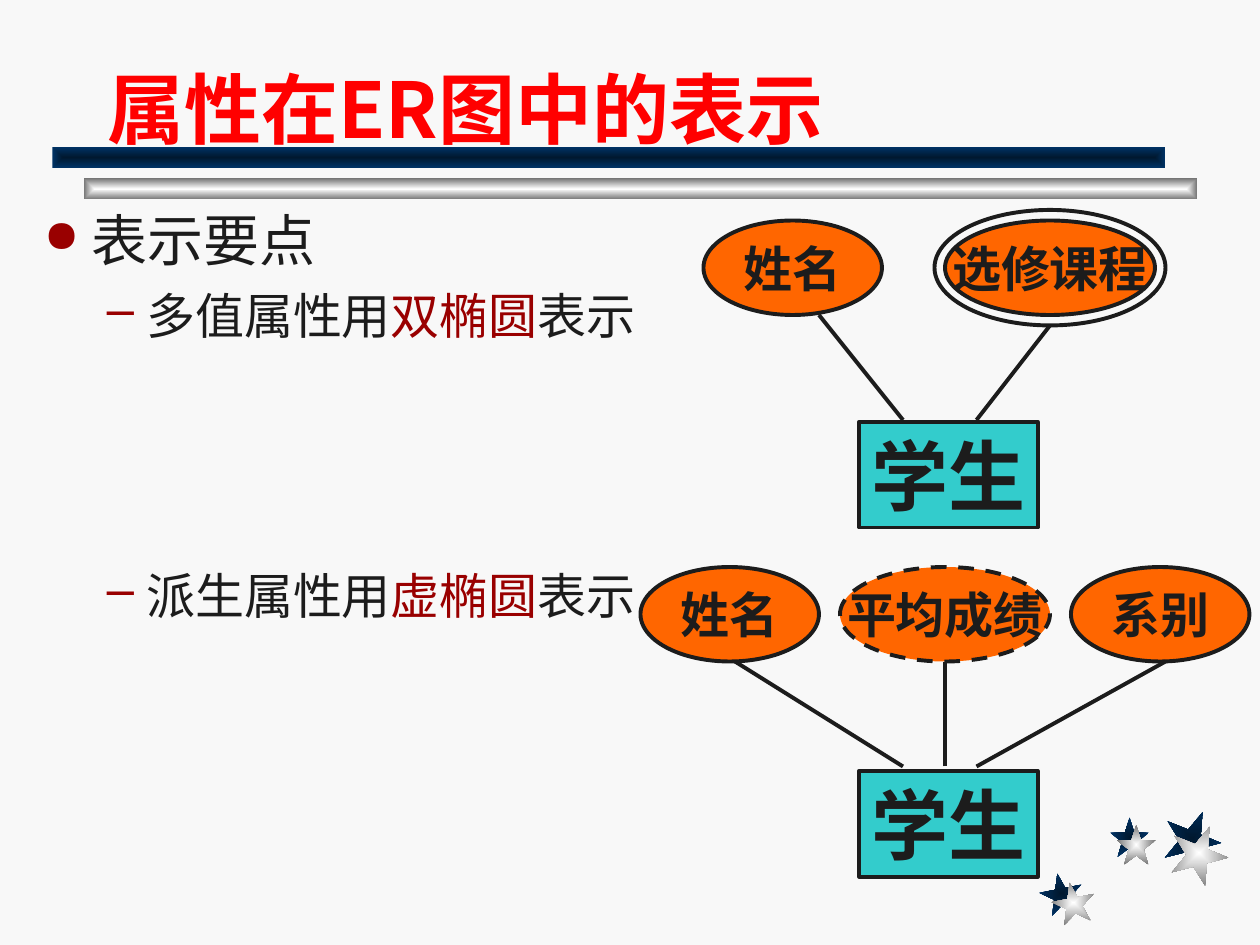
from lxml import etree
from pptx import Presentation
from pptx.dml.color import RGBColor
from pptx.enum.dml import MSO_LINE
from pptx.enum.shapes import MSO_CONNECTOR, MSO_SHAPE
from pptx.enum.text import MSO_ANCHOR, PP_ALIGN
from pptx.oxml.ns import qn
from pptx.util import Pt

RECTANGLE, OVAL, STAR = MSO_SHAPE.RECTANGLE, MSO_SHAPE.OVAL, MSO_SHAPE.STAR_5_POINT
STRAIGHT = MSO_CONNECTOR.STRAIGHT
DASH = MSO_LINE.DASH
LEFT, CENTER, JUSTIFY = PP_ALIGN.LEFT, PP_ALIGN.CENTER, PP_ALIGN.JUSTIFY
MIDDLE, BOTTOM = MSO_ANCHOR.MIDDLE, MSO_ANCHOR.BOTTOM

PAPER = RGBColor(0xF8, 0xF8, 0xF8)
INK = RGBColor(0x1C, 0x1C, 0x1C)
RED = RGBColor(0xFF, 0x00, 0x00)
MAROON = RGBColor(0x99, 0x00, 0x00)
ORANGE = RGBColor(0xFF, 0x66, 0x00)
TEAL = RGBColor(0x33, 0xCC, 0xCC)
NAVY_GLOW = (RGBColor(0x00, 0x18, 0x2F), RGBColor(0x00, 0x33, 0x66))
SILVER_GLOW = (RGBColor(0xFF, 0xFF, 0xFF), RGBColor(0x76, 0x76, 0x76))

TITLE_FONT, BODY_FONT, DIAGRAM_FONT = "Noto Sans CJK SC", "Roboto", "Times New Roman"
LINE_WIDTH = 2.25
OVAL_HEIGHT = 54


class SlideBuilder:
    def __init__(self, slide):
        self.slide = slide
        fill = slide.background.fill
        fill.solid()
        fill.fore_color.rgb = PAPER

    def set_font(self, paragraph, name, size, color, bold=False):
        font = paragraph.font
        font.name, font.size, font.bold = name, Pt(size), bold
        font.color.rgb = color

    def shape(self, kind, left, top, width, height):
        shape = self.slide.shapes.add_shape(kind, Pt(left), Pt(top), Pt(width), Pt(height))
        shape.shadow.inherit = False
        return shape

    def glowing(self, kind, left, top, width, height, glow, rotation=0):
        """Add a borderless shape whose gradient runs from its centre to its edges."""
        shape = self.shape(kind, left, top, width, height)
        shape.rotation = rotation
        shape.line.fill.background()
        shape.fill.gradient()
        for stop, color, position in zip(shape.fill.gradient_stops, glow, (0, 1)):
            stop.color.rgb = color
            stop.position = position
        gradient = shape.element.spPr.find(qn("a:gradFill"))
        gradient.remove(gradient.find(qn("a:lin")))
        centre = etree.SubElement(gradient, qn("a:path"), path="rect")
        etree.SubElement(centre, qn("a:fillToRect"), l="50000", t="50000", r="50000", b="50000")

    def title(self, text, left, top, width, height):
        title = self.slide.shapes.title
        title.left, title.top, title.width, title.height = Pt(left), Pt(top), Pt(width), Pt(height)
        frame = title.text_frame
        frame.text = text
        frame.vertical_anchor = BOTTOM
        frame.paragraphs[0].alignment = LEFT
        self.set_font(frame.paragraphs[0], TITLE_FONT, 44, RED, bold=True)

    def bullets(self, items, left, top, width, height):
        """Each item: runs of (text, color), level, space before."""
        box = self.slide.shapes.add_textbox(Pt(left), Pt(top), Pt(width), Pt(height))
        frame = box.text_frame
        frame.word_wrap = True
        level_styles = (("●", 32, 27, -27, 80), ("–", 28, 58.5, -22.5, 100))
        for index, (runs, level, space_before) in enumerate(items):
            mark, size, margin, indent, mark_percent = level_styles[level]
            paragraph = frame.add_paragraph() if index else frame.paragraphs[0]
            paragraph.level = level
            paragraph.alignment = JUSTIFY
            paragraph.space_before = Pt(space_before)
            self.set_font(paragraph, BODY_FONT, size, INK)
            for text, color in runs:
                run = paragraph.add_run()
                run.text = text
                run.font.color.rgb = color
            properties = paragraph._p.get_or_add_pPr()
            properties.set("marL", str(Pt(margin)))
            properties.set("indent", str(Pt(indent)))
            mark_color = etree.Element(qn("a:buClr"))
            etree.SubElement(mark_color, qn("a:srgbClr"), val=str(MAROON))
            mark_size = etree.Element(qn("a:buSzPct"), val=str(mark_percent * 1000))
            mark_char = etree.Element(qn("a:buChar"), char=mark)
            # Bullet settings come after spacing and before default run properties.
            defaults = properties.find(qn("a:defRPr"))
            for element in (mark_color, mark_size, mark_char):
                defaults.addprevious(element)

    def node(self, kind, left, top, width, height, text="", size=28, color=None, dash=None):
        node = self.shape(kind, left, top, width, height)
        if color is None:
            node.fill.background()
        else:
            node.fill.solid()
            node.fill.fore_color.rgb = color
        node.line.color.rgb = INK
        node.line.width = Pt(LINE_WIDTH)
        if dash is not None:
            node.line.dash_style = dash
        if text:
            frame = node.text_frame
            frame.word_wrap = False
            frame.vertical_anchor = MIDDLE
            frame.text = text
            frame.paragraphs[0].alignment = CENTER
            self.set_font(frame.paragraphs[0], DIAGRAM_FONT, size, INK, bold=True)

    def entity(self, text, top):
        self.node(RECTANGLE, 491, top, 102, 60.5, text, 44, TEAL)

    def attribute(self, text, left, top, width=102, dash=None):
        self.node(OVAL, left, top, width, OVAL_HEIGHT, text, 28, ORANGE, dash)

    def link(self, x1, y1, x2, y2):
        link = self.slide.shapes.add_connector(STRAIGHT, Pt(x1), Pt(y1), Pt(x2), Pt(y2))
        link.line.color.rgb = INK
        link.line.width = Pt(LINE_WIDTH)
        etree.SubElement(link.element.spPr, qn("a:effectLst"))


def add_decoration(builder):
    # Centre, size, rotation, and the shift from the navy star to the silver one.
    stars = (
        (606.4, 510.6, 24.4, 23.2, 349, 7, 5.3),
        (645.5, 478.5, 22.4, 22.8, 0, 3.8, 4.3),
        (681.2, 479, 33, 32, 22, 4, 8.4),
    )
    for glow, shift in ((NAVY_GLOW, 0), (SILVER_GLOW, 1)):
        for x, y, width, height, rotation, dx, dy in stars:
            builder.glowing(STAR, x - width / 2 + shift * dx, y - height / 2 + shift * dy,
                            width, height, glow, rotation)
    for left, top, glow in ((48, 102, SILVER_GLOW), (30, 84, NAVY_GLOW)):
        builder.glowing(RECTANGLE, left, top, 636, 12, glow)


def add_multivalued_diagram(builder):
    builder.entity("学生", 241)
    builder.attribute("姓名", 402, 126)
    builder.attribute("选修课程", 540, 126, width=120)
    builder.link(600, 186, 558, 240)
    builder.link(516, 240, 468, 180)
    builder.node(OVAL, 534, 120, 132, 66)


def add_derived_diagram(builder):
    builder.entity("学生", 440.5)
    builder.attribute("姓名", 366, 324)
    builder.attribute("平均成绩", 480, 324, width=120, dash=DASH)
    builder.attribute("系别", 612, 324)
    for entity_x, attribute_x in ((540, 540), (516, 420), (558, 666)):
        builder.link(entity_x, 438, attribute_x, 378)


def main():
    presentation = Presentation()
    presentation.slide_width, presentation.slide_height = Pt(720), Pt(540)
    title_only = presentation.slide_layouts[5]
    builder = SlideBuilder(presentation.slides.add_slide(title_only))
    add_decoration(builder)
    builder.title("属性在ER图中的表示", 54, 18, 613.5, 73.5)
    builder.bullets((
        ([("表示要点", INK)], 0, 8),
        ([("多值属性用", INK), ("双椭圆", MAROON), ("表示", INK)], 1, 7),
        ([("派生属性用", INK), ("虚椭圆", MAROON), ("表示", INK)], 1, 126.5),
    ), 18, 114, 687, 408)
    add_multivalued_diagram(builder)
    add_derived_diagram(builder)
    presentation.save("out.pptx")


if __name__ == "__main__":
    main()
